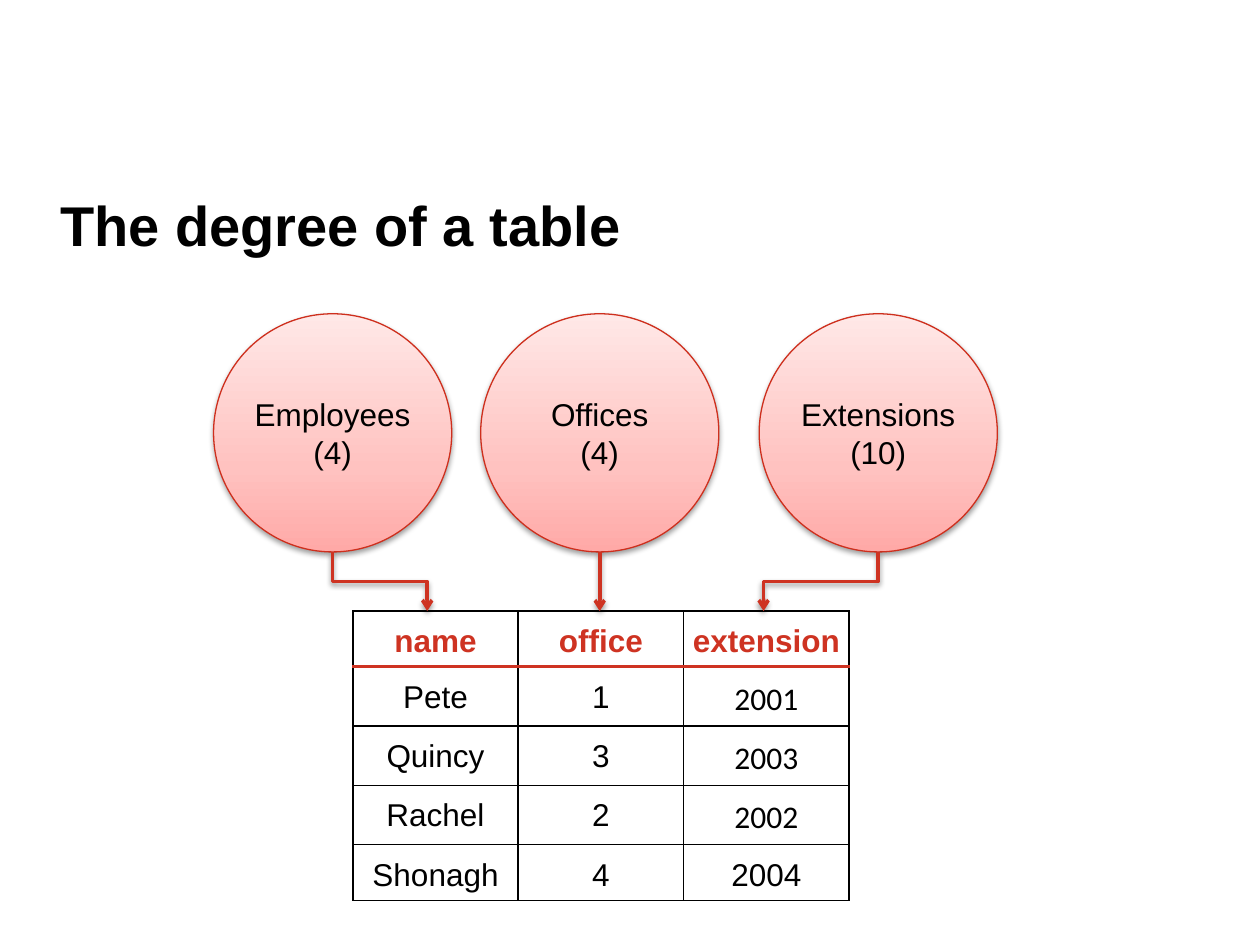
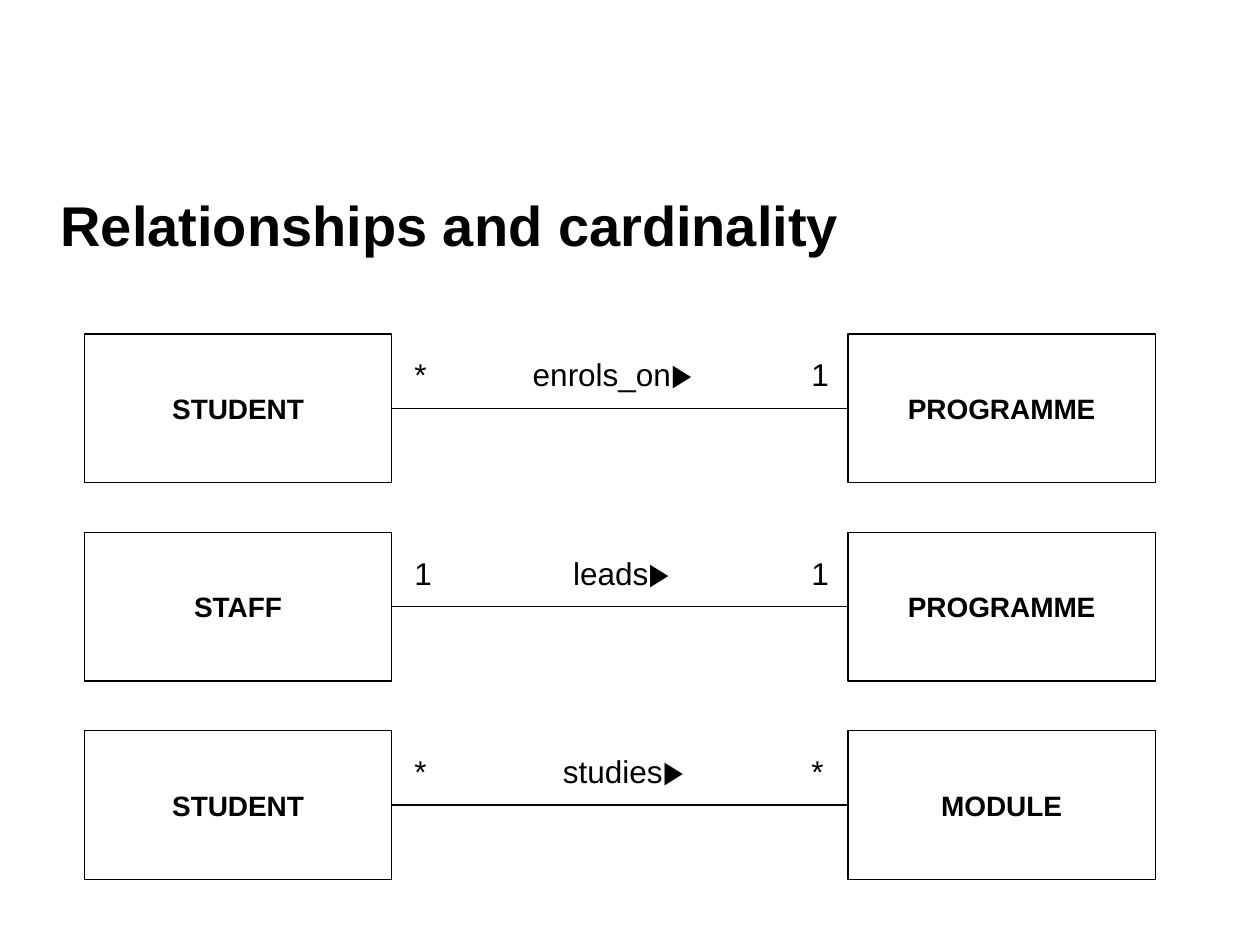
import copy

import lxml.etree
import pptx
import pptx.dml.color
import pptx.enum.shapes
import pptx.enum.text
import pptx.oxml.ns
import pptx.util

COLORS = {
    "ink": "000000", "paper": "FFFFFF", "red": "CE3322", "rim": "CE2F1D",
    "deep": "FFA9A7", "mid": "FFC2C0", "pale": "FFE8E7",
}
COLS, ROWS = 100, 75  # grid laid over the slide
PP = pptx.enum.text.PP_ALIGN
ANCHOR = pptx.enum.text.MSO_ANCHOR
SHAPE = pptx.enum.shapes.MSO_SHAPE
CONNECTOR = pptx.enum.shapes.MSO_CONNECTOR
qn = pptx.oxml.ns.qn
Pt = pptx.util.Pt


def rgb(name):
    """Return a palette colour."""
    return pptx.dml.color.RGBColor.from_string(COLORS[name])


def add_xml(parent, tag, **attrs):
    """Append a DrawingML element."""
    return lxml.etree.SubElement(parent, qn("a:" + tag), attrs)


class Deck:
    """Shared style and the slide being filled."""

    font = "Arial"

    def __init__(self):
        """Start a 4:3 presentation."""
        self.prs = pptx.Presentation()
        self.prs.slide_width = pptx.util.Inches(10)
        self.prs.slide_height = pptx.util.Inches(7.5)
        self.s = None

    def x(self, cols):
        """Turn grid columns into a length."""
        return round(self.prs.slide_width * cols / COLS)

    def y(self, rows):
        """Turn grid rows into a length."""
        return round(self.prs.slide_height * rows / ROWS)

    def box(self, left, top, width, height):
        """Turn a grid rectangle into lengths."""
        return self.x(left), self.y(top), self.x(width), self.y(height)

    def style(self, p, size, color="ink", bold=False, align=PP.LEFT, font=None):
        """Format a paragraph and its runs."""
        p.alignment = align
        for r in p.runs:
            r.font.name = font or self.font
            r.font.size = Pt(size)
            r.font.bold = bold
            r.font.color.rgb = rgb(color)

    def outline(self, sp, color, width, shadow=False):
        """Set a line, and either a soft shadow or none."""
        sp.line.color.rgb = rgb(color)
        sp.line.width = Pt(width)
        effects = add_xml(sp._element.spPr, "effectLst")
        if shadow:
            outer = add_xml(effects, "outerShdw", blurRad="40000", dist="20000",
                            dir="5400000", rotWithShape="0")
            black = add_xml(outer, "srgbClr", val=COLORS["ink"])
            add_xml(black, "alpha", val="38000")

    def slide(self, title):
        """Add a slide with its title."""
        self.s = self.prs.slides.add_slide(self.prs.slide_layouts[5])
        sp = self.s.shapes.title
        sp.left, sp.top, sp.width, sp.height = self.box(3.8, 14, 92.4, 7.6)
        tf = sp.text_frame
        tf.text = title
        tf.vertical_anchor = ANCHOR.MIDDLE
        self.style(tf.paragraphs[0], 32, bold=True)

    def shape(self, kind, area, text, size, bold=False):
        """Add a filled shape with centred text."""
        sp = self.s.shapes.add_shape(kind, *self.box(*area))
        sp.fill.solid()
        sp.fill.fore_color.rgb = rgb("paper")
        tf = sp.text_frame
        tf.text = text
        tf.word_wrap = True
        tf.vertical_anchor = ANCHOR.MIDDLE
        for p in tf.paragraphs:
            self.style(p, size, bold=bold, align=PP.CENTER)
        return sp

    def entity(self, left, top, width, height, name):
        """Add an entity box."""
        sp = self.shape(SHAPE.RECTANGLE, (left, top, width, height), name, 16, True)
        self.outline(sp, "ink", 0.75)

    def domain(self, center, top, size, text):
        """Add a shaded circle for the domain of a column."""
        sp = self.shape(SHAPE.OVAL, (center - size / 2, top, size, size), text, 18)
        sp.text_frame.margin_left = sp.text_frame.margin_right = self.x(0.4)
        sp.fill.gradient()
        sp.fill.gradient_angle = 90
        stops = sp._element.spPr.find(".//" + qn("a:gsLst"))
        stops.append(copy.deepcopy(stops[0]))
        shades = (("deep", 0), ("mid", 0.35), ("pale", 1))
        for stop, (color, position) in zip(sp.fill.gradient_stops, shades):
            stop.color.rgb = rgb(color)
            stop.position = position
        self.outline(sp, "rim", 0.75, shadow=True)

    def line(self, x1, y1, x2, y2):
        """Add a plain straight line."""
        sp = self.s.shapes.add_connector(
            CONNECTOR.STRAIGHT, self.x(x1), self.y(y1), self.x(x2), self.y(y2))
        self.outline(sp, "ink", 0.75)

    def down_arrow(self, x1, y1, x2, y2):
        """Add an arrow leaving downwards, bent where its ends are not aligned."""
        kind = CONNECTOR.STRAIGHT if x1 == x2 else CONNECTOR.ELBOW
        sp = self.s.shapes.add_connector(
            kind, self.x(x1), self.y(y1), self.x(x2), self.y(y2))
        if x1 != x2:
            # A quarter turn makes the first leg of the elbow vertical.
            across, down = abs(x2 - x1), y2 - y1
            xfrm = sp._element.spPr.find(qn("a:xfrm"))
            xfrm.attrib.clear()
            xfrm.set("rot", "16200000" if x2 > x1 else "5400000")
            if x2 > x1:
                xfrm.set("flipH", "1")
            sp.left, sp.top, sp.width, sp.height = self.box(
                (x1 + x2 - down) / 2, (y1 + y2 - across) / 2, down, across)
        self.outline(sp, "red", 2, shadow=True)
        add_xml(sp.line._get_or_add_ln(), "tailEnd", type="arrow")

    def label(self, left, top, width, text, arrow=""):
        """Add a label, with a reading direction where one is given."""
        sp = self.s.shapes.add_textbox(*self.box(left, top, width, 4))
        tf = sp.text_frame
        tf.word_wrap = True
        tf.auto_size = pptx.enum.text.MSO_AUTO_SIZE.SHAPE_TO_FIT_TEXT
        p = tf.paragraphs[0]
        p.text = text
        if arrow:
            p.add_run().text = arrow
        self.style(p, 18)
        if arrow:
            p.runs[-1].font.name = "Times New Roman"

    def borders(self, cell, **sides):
        """Draw cell borders, each side given as colour and width."""
        tc_pr = cell._tc.get_or_add_tcPr()
        for side, (color, width) in sides.items():
            ln = add_xml(tc_pr, "ln" + side, w=str(Pt(width)))
            add_xml(add_xml(ln, "solidFill"), "srgbClr", val=COLORS[color])

    def table(self, left, top, col_width, row_height, rows, fonts):
        """Add a ruled table; fonts maps (row, column) to a special font."""
        n_rows, n_cols = len(rows), len(rows[0])
        area = self.box(left, top, col_width * n_cols, row_height * n_rows)
        table = self.s.shapes.add_table(n_rows, n_cols, *area).table
        table.first_row = table.horz_banding = False
        thin, rule = ("ink", 1), ("red", 2.25)
        for i, row in enumerate(rows):
            head = i == 0
            for j, text in enumerate(row):
                cell = table.cell(i, j)
                self.borders(cell, L=thin, R=thin, T=rule if i == 1 else thin,
                             B=rule if head else thin)
                cell.fill.background()
                cell.margin_left = cell.margin_right = self.x(0.6)
                cell.margin_top = cell.margin_bottom = self.y(0.6)
                cell.vertical_anchor = ANCHOR.MIDDLE if head else ANCHOR.TOP
                p = cell.text_frame.paragraphs[0]
                p.text = text
                p.line_spacing = 1.15
                self.style(p, 18, "red" if head else "ink", head, PP.CENTER,
                           fonts.get((i, j)))


def degree_slide(deck):
    """Domains feeding the columns of a table."""
    deck.slide("The degree of a table")
    left, top, col_width = 28, 48.5, 13.13
    rows = [
        ("name", "office", "extension"),
        ("Pete", "1", "2001"),
        ("Quincy", "3", "2003"),
        ("Rachel", "2", "2002"),
        ("Shonagh", "4", "2004"),
    ]
    deck.table(left, top, col_width, 3.9, rows,
               {(i, 2): "Calibri" for i in (1, 2, 3)})
    size, circle_top = 18.9, 24.9
    domains = [
        ("Employees\n(4)", 26.4, 33.9),
        ("Offices\n(4)", 47.6, 47.6),
        ("Extensions\n(10)", 69.7, 60.6),
    ]
    for text, center, target in domains:
        deck.domain(center, circle_top, size, text)
        deck.down_arrow(center, circle_top + size, target, top)


def cardinality_slide(deck):
    """Pairs of entities joined by a named relationship."""
    deck.slide("Relationships and cardinality")
    width, height, pitch = 24.4, 11.8, 15.75
    left, right = 6.7, 67.3
    relations = [
        ("STUDENT", "*", "enrols_on", 41.3, "1", "PROGRAMME"),
        ("STAFF", "1", "leads", 44.5, "1", "PROGRAMME"),
        ("STUDENT", "*", "studies", 43.7, "*", "MODULE"),
    ]
    for i, (source, many, verb, verb_left, to_many, target) in enumerate(relations):
        top = 26.5 + i * pitch
        middle, label_top = top + height / 2, top + 1.2
        deck.entity(left, top, width, height, source)
        deck.entity(right, top, width, height, target)
        deck.line(left + width, middle, right, middle)
        deck.label(verb_left, label_top, 15.7, verb, "▶")
        deck.label(63.4, label_top, 3.8, to_many)
        deck.label(31.9, label_top, 3.8, many)


deck = Deck()
degree_slide(deck)
cardinality_slide(deck)
deck.prs.save("out.pptx")
